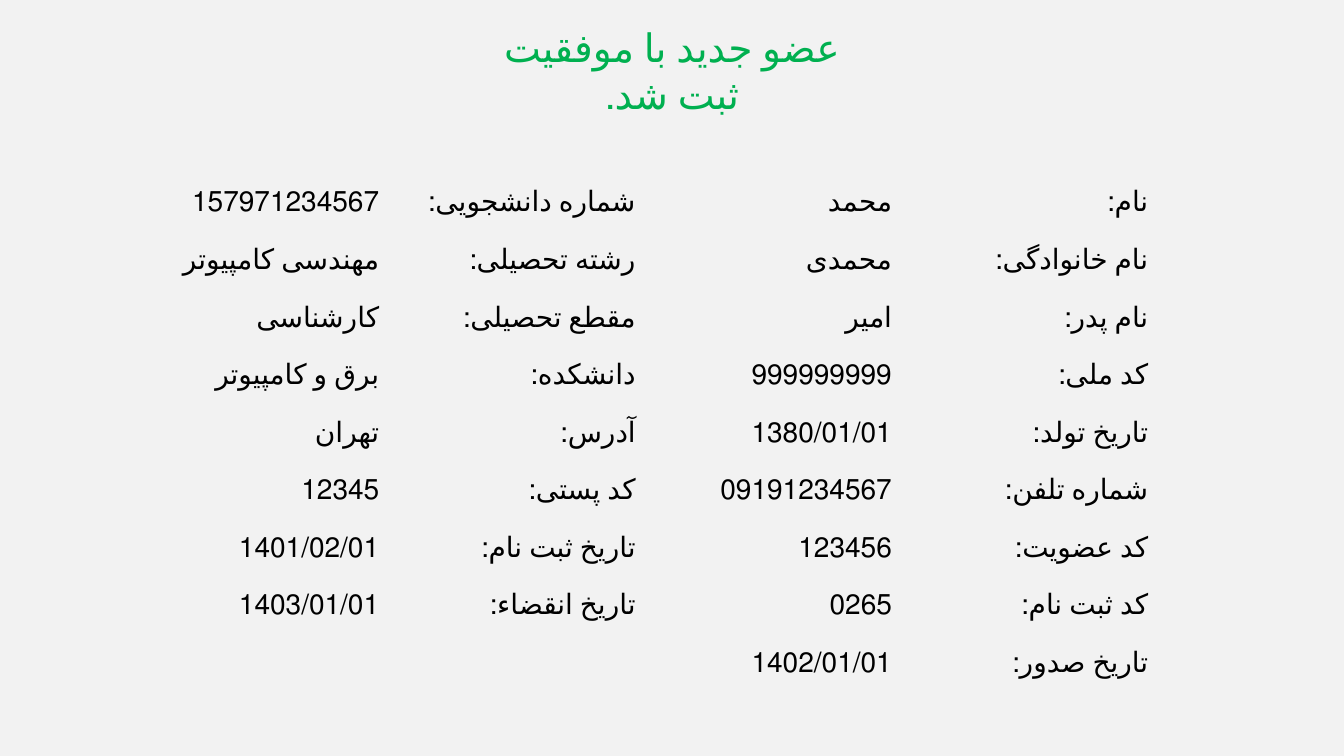
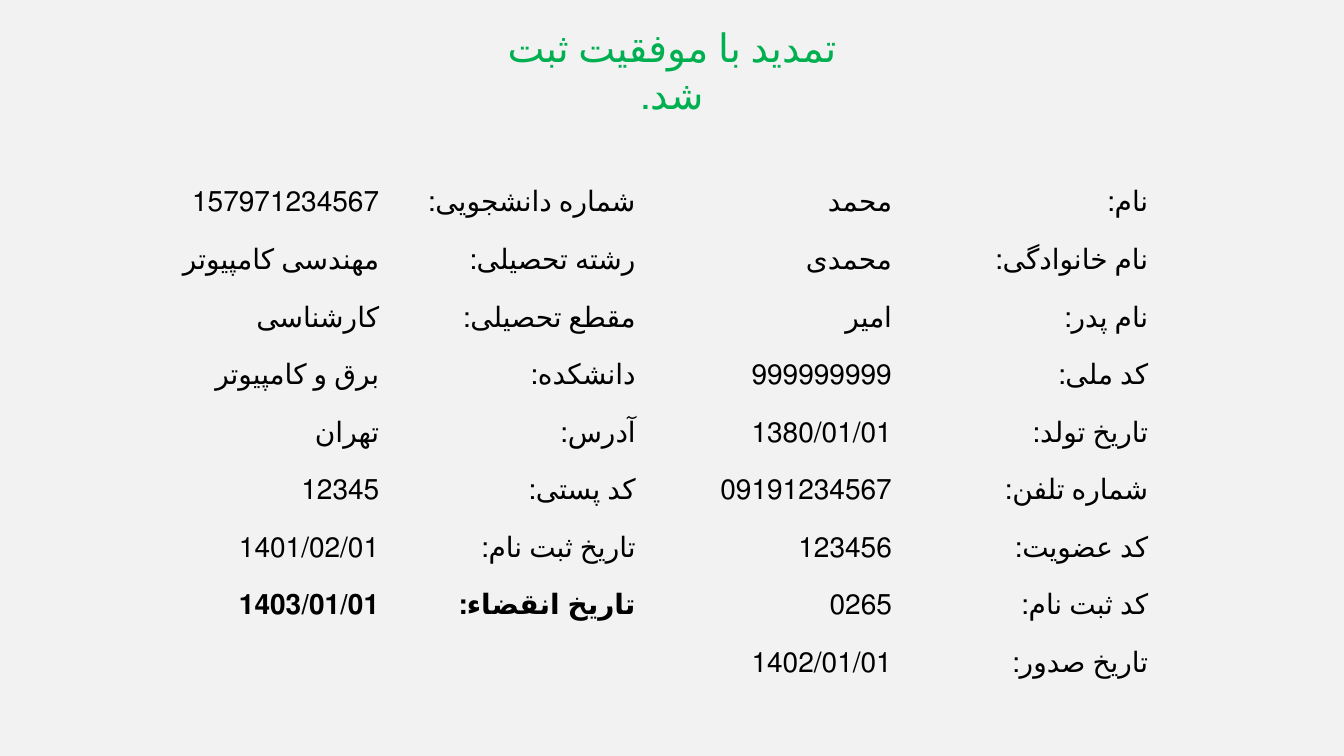
"""Builds the two confirmation slides for a new and a renewed membership."""
from dataclasses import dataclass

from pptx import Presentation, util as u
from pptx.dml.color import RGBColor
from pptx.enum import lang, text


@dataclass(frozen=True)
class Theme:
    back: RGBColor = RGBColor(0xF2, 0xF2, 0xF2)
    good: RGBColor = RGBColor(0x00, 0xB0, 0x50)
    ink: RGBColor = RGBColor(0x00, 0x00, 0x00)
    face: str = "Calibri"
    head: u.Pt = u.Pt(28)
    body: u.Pt = u.Pt(20)
    plain: str = "{2D5ABB26-0587-4C30-8999-92F81FD0307C}"


look = Theme()
END = "تاریخ انقضاء:"
LEFT = [
    ("شماره دانشجویی:", "157971234567"),
    ("رشته تحصیلی:", "مهندسی کامپیوتر"),
    ("مقطع تحصیلی:", "کارشناسی"),
    ("دانشکده:", "برق و کامپیوتر"),
    ("آدرس:", "تهران"),
    ("کد پستی:", "12345"),
    ("تاریخ ثبت نام:", "1401/02/01"),
    (END, "1403/01/01"),
]
RIGHT = [
    ("نام:", "محمد"),
    ("نام خانوادگی:", "محمدی"),
    ("نام پدر:", "امیر"),
    ("کد ملی:", "999999999"),
    ("تاریخ تولد:", "1380/01/01"),
    ("شماره تلفن:", "09191234567"),
    ("کد عضویت:", "123456"),
    ("کد ثبت نام:", "0265"),
    ("تاریخ صدور:", "1402/01/01"),
]
SLIDES = [
    ("عضو جدید با موفقیت ثبت شد.", None),
    ("تمدید با موفقیت ثبت شد.", END),
]


def write(frame, words, align, size, color, bold=False):
    para = frame.paragraphs[0]
    para.alignment = align
    para._p.get_or_add_pPr().set("rtl", "1")
    run = para.add_run()
    run.text = words
    font = run.font
    font.name, font.size, font.bold = look.face, size, bold
    font.language_id = lang.MSO_LANGUAGE_ID.FARSI
    font.color.rgb = color


deck = Presentation()
deck.slide_width, deck.slide_height = u.Inches(13.33), u.Inches(7.5)
fill = deck.slide_master.background.fill
fill.solid()
fill.fore_color.rgb = look.back

for words, strong in SLIDES:
    slide = deck.slides.add_slide(deck.slide_layouts[5])
    title = slide.shapes.title
    title.left, title.top = u.Inches(4.74), u.Inches(0.18)
    title.width, title.height = u.Inches(3.85), u.Inches(0.57)
    frame = title.text_frame
    frame.word_wrap = True
    frame.auto_size = text.MSO_AUTO_SIZE.SHAPE_TO_FIT_TEXT
    frame.vertical_anchor = text.MSO_ANCHOR.TOP
    write(frame, words, text.PP_ALIGN.CENTER, look.head, look.good)

    grid = slide.shapes.add_table(
        len(RIGHT), 4, u.Inches(1.32), u.Inches(1.83), u.Inches(10.17), u.Inches(5.14)
    ).table
    grid.first_row = grid.horz_banding = False
    grid._tbl.tblPr.find("{*}tableStyleId").text = look.plain
    for cell in grid.iter_cells():
        cell.fill.background()
    for start, pairs in ((0, LEFT), (2, RIGHT)):
        for row, (label, value) in enumerate(pairs):
            for col, part in enumerate((value, label), start):
                write(grid.cell(row, col).text_frame, part, text.PP_ALIGN.RIGHT,
                      look.body, look.ink, label == strong)

deck.save("out.pptx")
